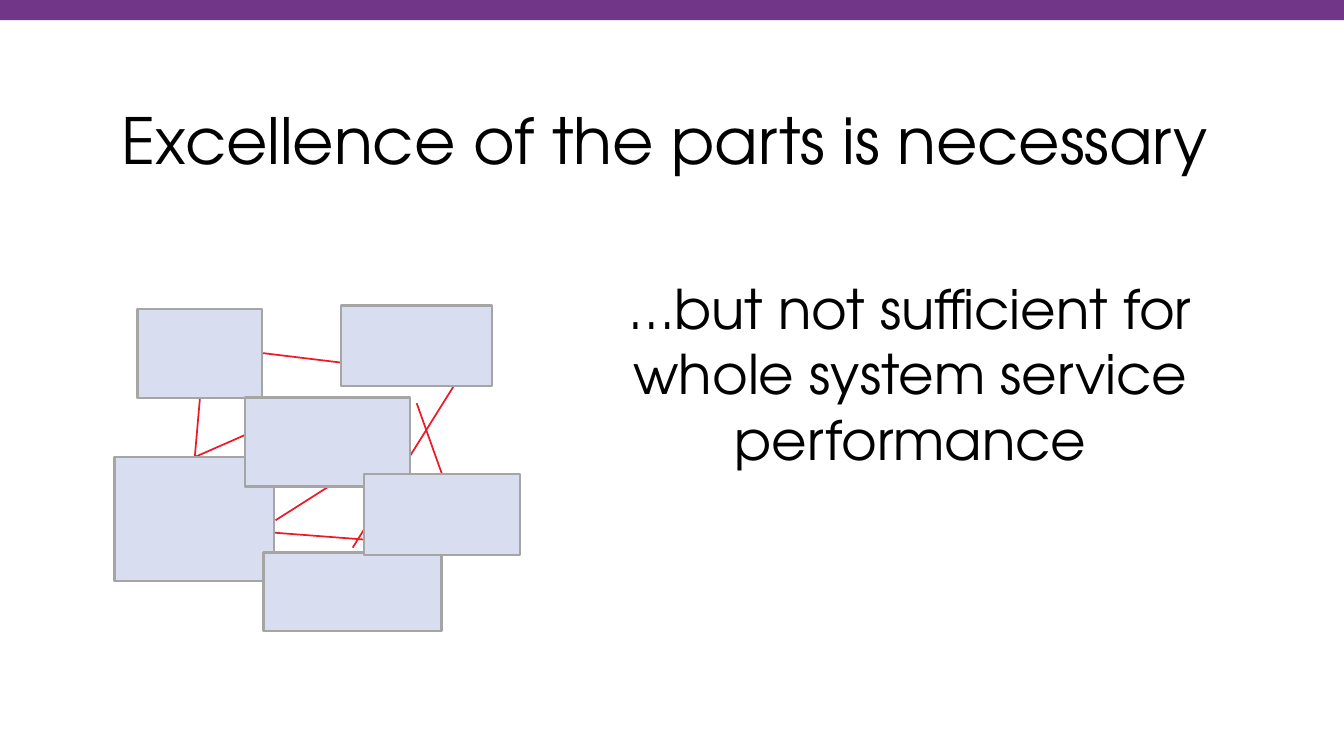
"""Build a slide showing linked parts that do not yet make a whole system."""
from typing import NamedTuple

from pptx import Presentation
from pptx.dml.color import RGBColor
from pptx.enum.shapes import MSO_CONNECTOR, MSO_SHAPE
from pptx.enum.text import MSO_ANCHOR, PP_ALIGN
from pptx.oxml.ns import qn
from pptx.util import Pt
from lxml.etree import SubElement

PURPLE = RGBColor(0x71, 0x36, 0x88)
PALE_BLUE = RGBColor(0xD8, 0xDE, 0xEF)
GRAY = RGBColor(0xA5, 0xA5, 0xA5)
RED = RGBColor(0xED, 0x19, 0x27)
BLACK = RGBColor(0, 0, 0)
FONT_NAME = "TeX Gyre Adventor"


class Box(NamedTuple):
    left: float
    top: float
    width: float
    height: float


class Link(NamedTuple):
    begin_x: float
    begin_y: float
    end_x: float
    end_y: float


BANNER = Box(0, 0, 576, 8.64)
TITLE = Box(0, 32.4, 570.2, 54)
MESSAGE = Box(249.1, 96.5, 282.2, 126.7)

PARTS = [
    Box(59, 132.5, 53.3, 38.2),
    Box(146.2, 131, 64.8, 34.6),
    Box(49, 195.9, 68.4, 53.3),
    Box(113, 236.8, 76.3, 33.8),
    Box(105.1, 170.4, 70.6, 38.2),
    Box(156, 203.1, 67, 34.8),
]

LINKS = [
    Link(151.2, 234.7, 198, 159.8),
    Link(83.5, 195.9, 118.1, 180.7),
    Link(172.8, 194.4, 175.7, 189.4),
    Link(112.3, 151.3, 146.2, 155.4),
    Link(189.4, 203.1, 178.6, 172.8),
    Link(117.4, 228.3, 155.6, 231.2),
    Link(83.5, 195.9, 85.7, 170.6),
    Link(118.1, 223, 140.4, 208.8),
]


def add_rectangle(slide, box: Box, fill: RGBColor, line: RGBColor | None = None) -> None:
    shape = slide.shapes.add_shape(MSO_SHAPE.RECTANGLE, *map(Pt, box))
    shape.shadow.inherit = False
    shape.fill.solid()
    shape.fill.fore_color.rgb = fill
    if line is None:
        shape.line.fill.background()
    else:
        shape.line.color.rgb = line
        shape.line.width = Pt(1)


def add_link(slide, link: Link) -> None:
    connector = slide.shapes.add_connector(MSO_CONNECTOR.STRAIGHT, *map(Pt, link))
    connector.line.color.rgb = RED
    connector.line.width = Pt(0.75)
    SubElement(connector._element.spPr, qn("a:effectLst"))


def write_text(shape, box: Box, text: str, size: float) -> None:
    for name, value in box._asdict().items():
        setattr(shape, name, Pt(value))
    frame = shape.text_frame
    frame_format = {
        "word_wrap": True,
        "vertical_anchor": MSO_ANCHOR.MIDDLE,
        "margin_left": Pt(5.8),
        "margin_right": Pt(5.8),
        "margin_top": Pt(2.9),
        "margin_bottom": Pt(2.9),
    }
    for name, value in frame_format.items():
        setattr(frame, name, value)
    paragraph = frame.paragraphs[0]
    paragraph.alignment = PP_ALIGN.CENTER
    paragraph.line_spacing = 1.0
    run = paragraph.add_run()
    run.text = text
    for name, value in {"name": FONT_NAME, "size": Pt(size), "bold": False}.items():
        setattr(run.font, name, value)
    run.font.color.rgb = BLACK


def main() -> None:
    presentation = Presentation()
    presentation.slide_width = Pt(576)
    presentation.slide_height = Pt(324)
    slide = presentation.slides.add_slide(presentation.slide_layouts[5])

    add_rectangle(slide, BANNER, PURPLE)
    for link in LINKS:
        add_link(slide, link)
    for part in PARTS:
        add_rectangle(slide, part, PALE_BLUE, GRAY)

    write_text(slide.shapes.title, TITLE, "Excellence of the parts is necessary", 27.3)
    message = slide.shapes.add_textbox(*map(Pt, MESSAGE))
    write_text(message, MESSAGE, "…but not sufficient for whole system service performance", 23.4)

    presentation.save("out.pptx")


if __name__ == "__main__":
    main()
